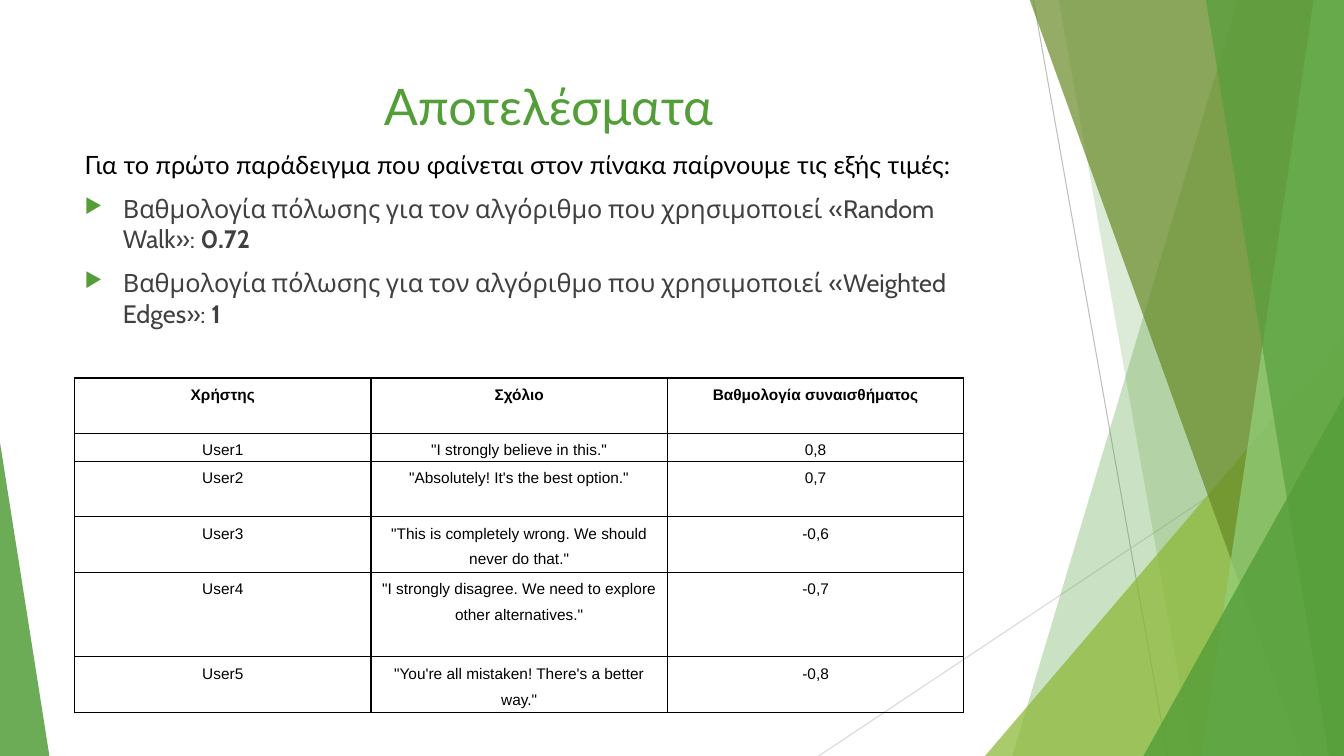
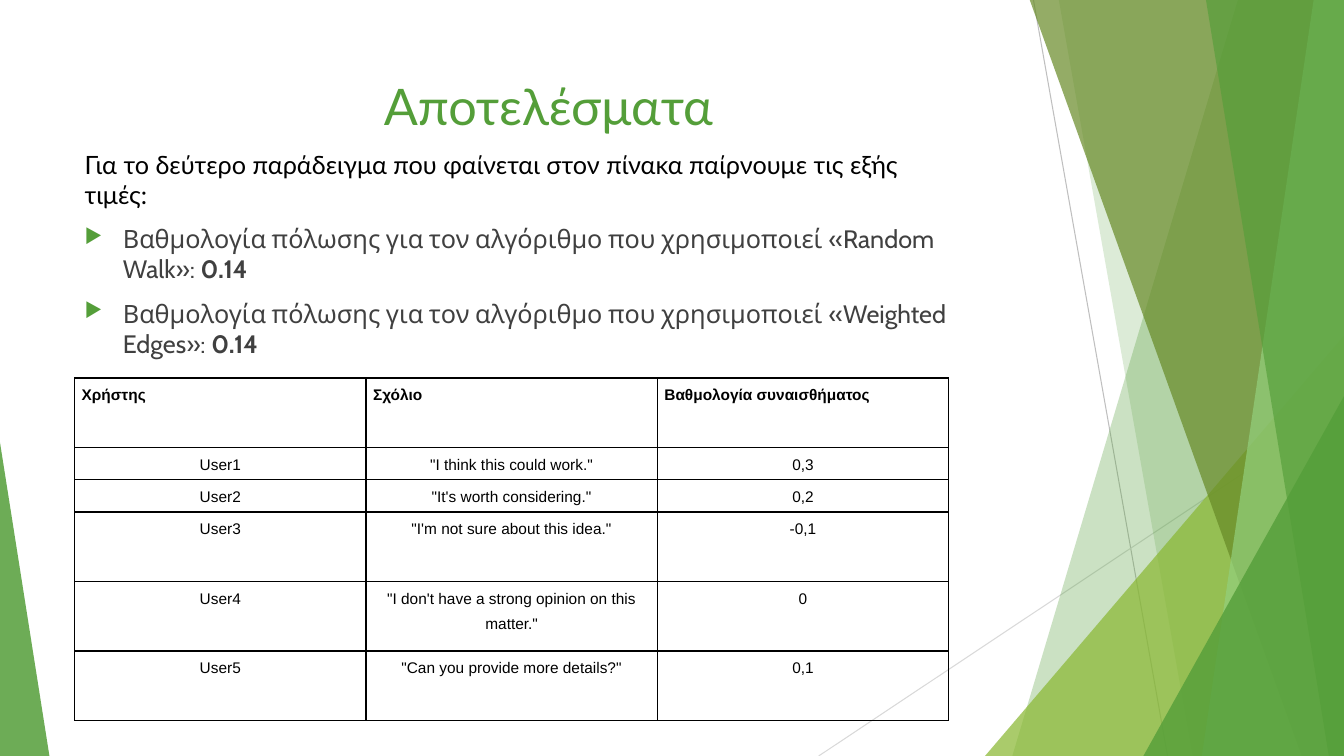
from lxml import etree
from pptx import Presentation
from pptx.dml.color import RGBColor
from pptx.enum.shapes import MSO_CONNECTOR, MSO_SHAPE
from pptx.enum.text import MSO_ANCHOR, MSO_AUTO_SIZE, PP_ALIGN
from pptx.oxml.ns import qn
from pptx.util import Inches, Pt

GREEN = RGBColor(0x54, 0x9E, 0x39)
LIME = RGBColor(0x8A, 0xB8, 0x33)
OLIVE = RGBColor(0x67, 0x8A, 0x26)
MINT = RGBColor(0x93, 0xD0, 0x7D)
BLACK = RGBColor(0, 0, 0)
TEXT_GRAY = RGBColor(0x40, 0x40, 0x40)
LINE_GRAY = RGBColor(0xBF, 0xBF, 0xBF)
PALE_GRAY = RGBColor(0xD9, 0xD9, 0xD9)

WIDTH, HEIGHT, BLEED = 13.33, 7.5, -0.01
LEFT, BODY_TOP, TABLE_TOP = 0.74, 1.43, 3.75

RAYS = [
    (10.25, 0, 11.58, HEIGHT, LINE_GRAY),
    (WIDTH, 4.03, 8.12, HEIGHT, PALE_GRAY),
]
FACETS = [
    ("band", (12.28, 10.04), GREEN, 30),
    ("band", (10.5, 11.83), GREEN, 20),
    ("triangle", (9.77, 3.33, 3.56, 1), LIME, 72),
    ("band", (10.21, 12.91), OLIVE, 70),
    ("band", (13.03, 11.92), MINT, 70),
    ("band", (11.96, 13.18), GREEN, 65),
    ("triangle", (11.34, 3.93, 1.99, 1), GREEN, 80),
    ("triangle", (0, 4.39, 0.49, 0), GREEN, 85),
]
HEADERS = ["Χρήστης", "Σχόλιο", "Βαθμολογία συναισθήματος"]
RESULTS = [
    {
        "example": "πρώτο",
        "scores": [("Random Walk", "0.72"), ("Weighted Edges", "1")],
        "column": 2.94,
        "rows": [0.55, 0.26, 0.55, 0.55, 0.84, 0.55],
        "header_align": PP_ALIGN.CENTER,
        "comments": [
            ("\"I strongly believe in this.\"", "0,8"),
            ("\"Absolutely! It's the best option.\"", "0,7"),
            ("\"This is completely wrong. We should never do that.\"", "-0,6"),
            ("\"I strongly disagree. We need to explore other alternatives.\"", "-0,7"),
            ("\"You're all mistaken! There's a better way.\"", "-0,8"),
        ],
    },
    {
        "example": "δεύτερο",
        "scores": [("Random Walk", "0.14"), ("Weighted Edges", "0.14")],
        "column": 2.89,
        "rows": [0.69, 0.32, 0.32, 0.69, 0.69, 0.69],
        "header_align": PP_ALIGN.JUSTIFY,
        "comments": [
            ("\"I think this could work.\"", "0,3"),
            ("\"It's worth considering.\"", "0,2"),
            ("\"I'm not sure about this idea.\"", "-0,1"),
            ("\"I don't have a strong opinion on this matter.\"", "0"),
            ("\"Can you provide more details?\"", "0,1"),
        ],
    },
]


def add_span(para, text, font="Lato", size=18, color=BLACK, bold=False):
    span = para.add_run()
    span.text = text
    span.font.name = font
    span.font.size = Pt(size)
    span.font.color.rgb = color
    span.font.bold = bold


def add_element(parent, tag, **attributes):
    element = etree.SubElement(parent, qn(tag))
    for name, value in attributes.items():
        element.set(name, str(value))
    return element


deck = Presentation()
deck.slide_width = Inches(WIDTH)
deck.slide_height = Inches(HEIGHT)

for result in RESULTS:
    page = deck.slides.add_slide(deck.slide_layouts[6])

    for x1, y1, x2, y2, color in RAYS:
        ray = page.shapes.add_connector(
            MSO_CONNECTOR.STRAIGHT, Inches(x1), Inches(y1), Inches(x2), Inches(y2))
        ray.line.color.rgb = color
        ray.line.width = Pt(0.75)
        add_element(ray.line._get_or_add_ln().getparent(), "a:effectLst")

    for kind, geometry, color, opacity in FACETS:
        if kind == "band":
            top_x, bottom_x = geometry
            outline = page.shapes.build_freeform(Inches(top_x), Inches(BLEED))
            corners = [(WIDTH, BLEED), (WIDTH, HEIGHT), (bottom_x, HEIGHT)]
            outline.add_line_segments([(Inches(x), Inches(y)) for x, y in corners])
            facet = outline.convert_to_shape()
        else:
            left, top, width, apex = geometry
            facet = page.shapes.add_shape(
                MSO_SHAPE.ISOSCELES_TRIANGLE,
                Inches(left), Inches(top), Inches(width), Inches(HEIGHT - top))
            facet.adjustments[0] = apex
        facet.shadow.inherit = False
        facet.line.fill.background()
        facet.fill.solid()
        facet.fill.fore_color.rgb = color
        tint = facet.element.find(".//" + qn("a:srgbClr"))
        add_element(tint, "a:alpha", val=opacity * 1000)

    title = page.shapes.add_textbox(Inches(LEFT), Inches(0.67), Inches(9.4), Inches(0.76))
    title.text_frame.word_wrap = True
    title.text_frame.vertical_anchor = MSO_ANCHOR.MIDDLE
    para = title.text_frame.paragraphs[0]
    para.alignment = PP_ALIGN.CENTER
    add_span(para, "Αποτελέσματα", size=36, color=GREEN)

    body = page.shapes.add_textbox(Inches(LEFT), Inches(BODY_TOP), Inches(8.82), Inches(2.2))
    body.text_frame.word_wrap = True
    body.text_frame.auto_size = MSO_AUTO_SIZE.SHAPE_TO_FIT_TEXT
    add_span(
        body.text_frame.paragraphs[0],
        f"Για το {result['example']} παράδειγμα που φαίνεται στον πίνακα παίρνουμε τις εξής τιμές:")
    for algorithm, score in result["scores"]:
        para = body.text_frame.add_paragraph()
        para.space_before = Pt(10)
        add_span(para, f"Βαθμολογία πόλωσης για τον αλγόριθμο που χρησιμοποιεί «{algorithm}»: ",
                 font="Cabin", color=TEXT_GRAY)
        add_span(para, score, font="Cabin", color=TEXT_GRAY, bold=True)
        properties = para._p.get_or_add_pPr()
        properties.set("marL", str(Inches(0.38)))
        properties.set("indent", str(Inches(-0.38)))
        add_element(add_element(properties, "a:buClr"), "a:srgbClr", val=GREEN)
        add_element(properties, "a:buSzPct", val=80000)
        add_element(properties, "a:buChar", char="▶")

    records = [HEADERS]
    for number, (comment, score) in enumerate(result["comments"], 1):
        records.append([f"User{number}", comment, score])
    table = page.shapes.add_table(
        len(records), len(HEADERS), Inches(LEFT), Inches(TABLE_TOP),
        Inches(result["column"] * len(HEADERS)), Inches(sum(result["rows"]))).table
    table.first_row = False
    table.horz_banding = False
    for column in table.columns:
        column.width = Inches(result["column"])
    for index, record in enumerate(records):
        table.rows[index].height = Inches(result["rows"][index])
        for position, text in enumerate(record):
            cell = table.cell(index, position)
            cell.margin_left = cell.margin_right = Inches(0.07)
            cell.margin_top = cell.margin_bottom = 0
            para = cell.text_frame.paragraphs[0]
            para.alignment = result["header_align"] if index == 0 else PP_ALIGN.CENTER
            para.line_spacing = 1.5
            para.space_after = Pt(3)
            add_span(para, text, font="Arial", size=11, bold=index == 0)
            for side in ("a:lnL", "a:lnR", "a:lnT", "a:lnB"):
                border = add_element(cell._tc.get_or_add_tcPr(), side, w=Pt(1))
                add_element(add_element(border, "a:solidFill"), "a:srgbClr", val=BLACK)
            cell.fill.background()

deck.save("out.pptx")
